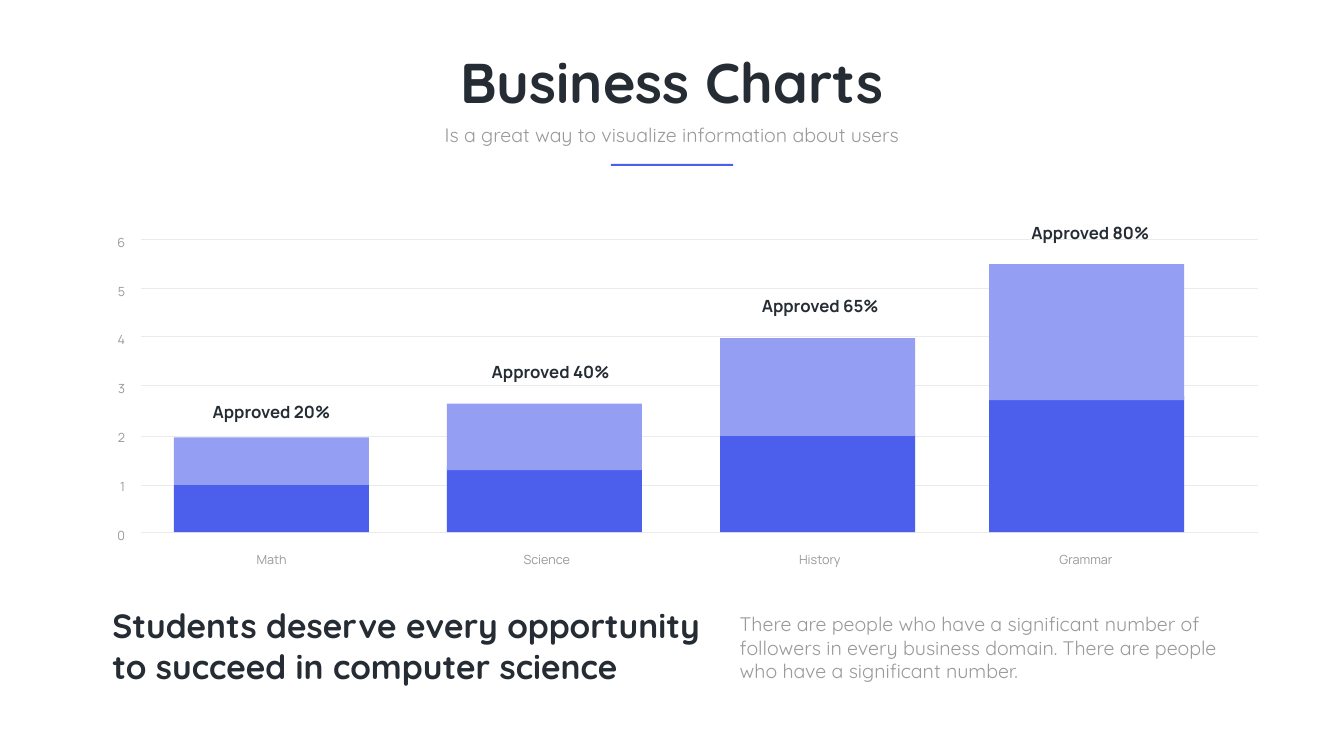
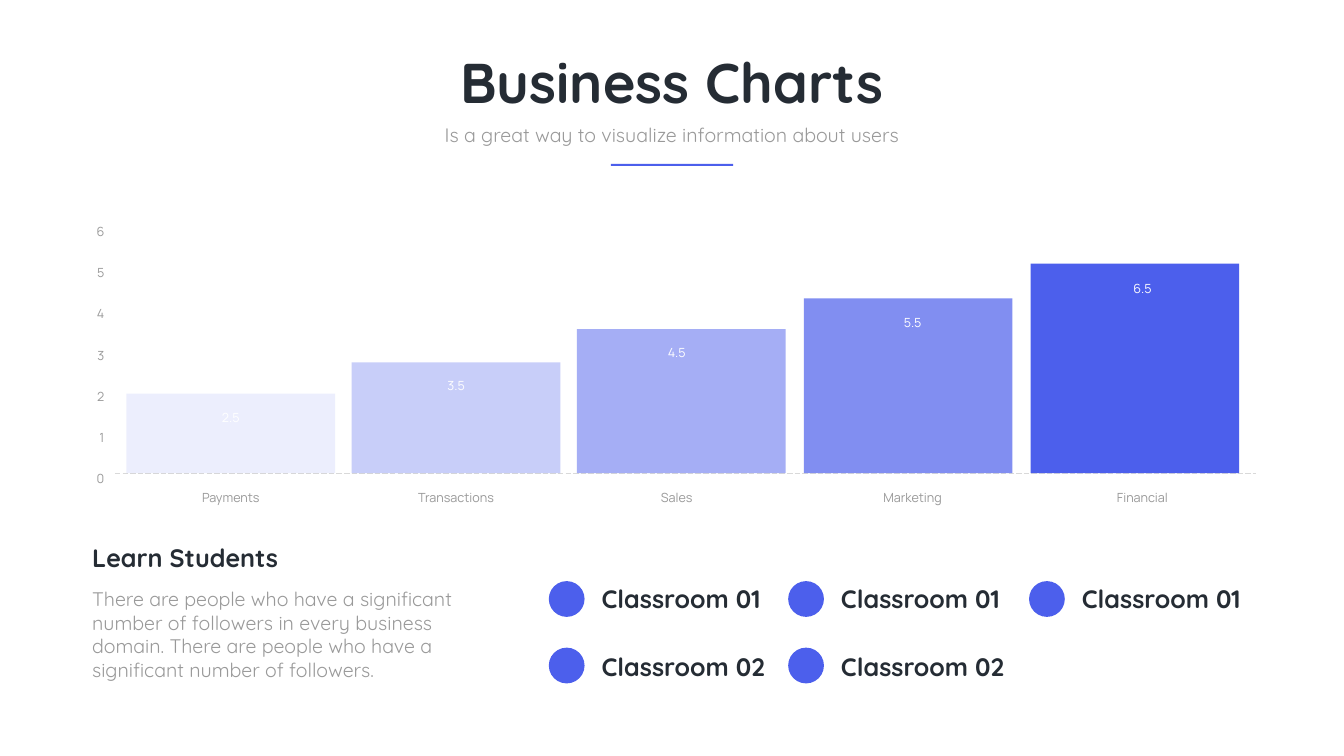
from dataclasses import dataclass

from lxml.etree import SubElement
from pptx import Presentation
from pptx.dml.color import RGBColor
from pptx.enum.dml import MSO_LINE
from pptx.enum.shapes import MSO_CONNECTOR, MSO_SHAPE
from pptx.enum.text import MSO_AUTO_SIZE, PP_ALIGN
from pptx.oxml.ns import qn
from pptx.slide import Slide
from pptx.util import Inches, Pt

BLUE = RGBColor(0x4C, 0x5F, 0xEC)
LIGHT_BLUE = RGBColor(0x94, 0x9F, 0xF4)
DARK = RGBColor(0x25, 0x2C, 0x34)
GREY = RGBColor(0x99, 0x99, 0x99)
GRID = RGBColor(0xEB, 0xEB, 0xEB)
BASELINE = RGBColor(0xD9, 0xD9, 0xD9)
WHITE = RGBColor(0xFF, 0xFF, 0xFF)

LEFT, CENTER, RIGHT = PP_ALIGN.LEFT, PP_ALIGN.CENTER, PP_ALIGN.RIGHT
RECT, OVAL = MSO_SHAPE.RECTANGLE, MSO_SHAPE.OVAL


@dataclass(frozen=True)
class TextStyle:
    font: str
    size: float
    color: RGBColor
    bold: bool = False
    align: PP_ALIGN = LEFT
    spacing: float | None = None


@dataclass(frozen=True)
class StackedBar:
    subject: str
    approved: str
    left: float
    lower_top: float
    upper_top: float
    upper_height: float
    subject_left: float
    approved_left: float
    approved_top: float


@dataclass(frozen=True)
class ShadedBar:
    category: str
    value: str
    left: float
    top: float
    opacity: int
    label_left: float
    value_top: float


TITLE = TextStyle("Quicksand", 80, DARK, True, CENTER)
SUBTITLE = TextStyle("Quicksand", 28, GREY, align=CENTER)
HEADLINE = TextStyle("Quicksand", 48, DARK, True)
HEADING = TextStyle("Quicksand", 36, DARK, True)
BODY = TextStyle("Quicksand", 28, GREY)
AXIS = TextStyle("Manrope", 18, GREY, align=RIGHT, spacing=35.6)
CATEGORY = TextStyle("Manrope", 18, GREY, align=CENTER, spacing=35.6)
VALUE = TextStyle("Manrope", 18, WHITE, align=CENTER, spacing=35.6)
APPROVED = TextStyle("Manrope", 24, DARK, True, CENTER, 35.6)

AXIS_MAX = 6
LABEL_WIDTH, LABEL_HEIGHT = 2.62, 0.56

# First chart
GRID_TOPS = (4.74, 5.72, 6.67, 7.65, 8.65, 9.62, 10.55)
STACK_WIDTH, STACK_BOTTOM = 3.87, 10.56
STACKED_BARS = (
    StackedBar("Math", "Approved 20%", 3.45, 9.62, 8.68, 0.94, 4.08, 3.45, 7.82),
    StackedBar("Science", "Approved 40%", 8.87, 9.26, 8.01, 1.32, 9.54, 8.99, 7.03),
    StackedBar("History", "Approved 65%", 14.29, 8.62, 6.71, 1.94, 14.96, 14.34, 5.73),
    StackedBar("Grammar", "Approved 80%", 19.63, 7.86, 5.24, 2.7, 20.24, 19.7, 4.28),
)

# Second chart
SHADED_WIDTH, SHADED_BOTTOM = 4.14, 9.39
SHADED_BARS = (
    ShadedBar("Payments", "2.5", 2.51, 7.81, 10, 3.27, 7.88),
    ShadedBar("Transactions", "3.5", 6.98, 7.19, 30, 7.74, 7.25),
    ShadedBar("Sales", "4.5", 11.45, 6.53, 50, 12.12, 6.6),
    ShadedBar("Marketing", "5.5", 15.95, 5.92, 70, 16.8, 6),
    ShadedBar("Financial", "6.5", 20.45, 5.23, 100, 21.36, 5.33),
)

# Legend: column left and number of classrooms in it
LEGEND_COLUMNS = ((10.89, 2), (15.64, 2), (20.42, 1))
DOT_SIZE = 0.71


def add_text(page: Slide, text: str, style: TextStyle,
             left: float, top: float, width: float, height: float) -> None:
    box = page.shapes.add_textbox(Inches(left), Inches(top), Inches(width), Inches(height))
    frame = box.text_frame
    frame.word_wrap = True
    frame.auto_size = MSO_AUTO_SIZE.SHAPE_TO_FIT_TEXT
    para = frame.paragraphs[0]
    para.alignment = style.align
    if style.spacing:
        para.line_spacing = Pt(style.spacing)
    span = para.add_run()
    span.text = text
    span.font.name = style.font
    span.font.size = Pt(style.size)
    span.font.bold = style.bold
    span.font.color.rgb = style.color


def add_filled(page: Slide, kind: MSO_SHAPE, color: RGBColor, left: float, top: float,
               width: float, height: float, opacity: int = 100) -> None:
    shape = page.shapes.add_shape(
        kind, Inches(left), Inches(top), Inches(width), Inches(height))
    shape.shadow.inherit = False
    shape.line.fill.background()
    shape.fill.solid()
    shape.fill.fore_color.rgb = color
    if opacity < 100:
        tint = next(shape.element.spPr.iter(qn("a:srgbClr")))
        SubElement(tint, qn("a:alpha")).set("val", str(opacity * 1000))


def add_rule(page: Slide, left: float, right: float, top: float,
             color: RGBColor, weight: float, dash: MSO_LINE | None = None) -> None:
    rule = page.shapes.add_connector(
        MSO_CONNECTOR.STRAIGHT, Inches(left), Inches(top), Inches(right), Inches(top))
    rule.line.color.rgb = color
    rule.line.width = Pt(weight)
    if dash is not None:
        rule.line.dash_style = dash
    SubElement(rule.element.spPr, qn("a:effectLst"))


def add_header(page: Slide) -> None:
    add_text(page, "Business Charts", TITLE, 6.88, 0.9, 12.91, 1.45)
    add_text(page, "Is a great way to visualize information about users",
             SUBTITLE, 8.55, 2.38, 9.56, 0.57)
    add_filled(page, RECT, BLUE, 12.12, 3.25, 2.43, 0.04)


def add_axis(page: Slide, left: float, top: float, step: float, height: float) -> None:
    for row in range(AXIS_MAX + 1):
        add_text(page, str(AXIS_MAX - row), AXIS, left, top + row * step, 1.12, height)


def build_subjects_page(page: Slide) -> None:
    # Grid and axis
    for top in GRID_TOPS:
        add_rule(page, 2.79, 24.96, top, GRID, 0.5)
    add_axis(page, 1.46, 4.41, 0.97, 0.56)
    add_header(page)

    # Stacked bars with their labels
    for bar in STACKED_BARS:
        add_filled(page, RECT, BLUE, bar.left, bar.lower_top,
                   STACK_WIDTH, STACK_BOTTOM - bar.lower_top)
        add_filled(page, RECT, LIGHT_BLUE, bar.left, bar.upper_top,
                   STACK_WIDTH, bar.upper_height)
        add_text(page, bar.subject, CATEGORY, bar.subject_left, 10.7,
                 LABEL_WIDTH, LABEL_HEIGHT)
        add_text(page, bar.approved, APPROVED, bar.approved_left, bar.approved_top,
                 STACK_WIDTH, 0.58)

    # Closing texts
    add_text(page, "Students deserve every opportunity to succeed in computer science",
             HEADLINE, 2.13, 11.96, 12.19, 1.72)
    add_text(page, "There are people who have a significant number of followers in every "
             "business domain. There are people who have a significant number.",
             BODY, 14.58, 12.1, 9.85, 1.51)


def build_classrooms_page(page: Slide) -> None:
    add_header(page)

    # Shaded bars on a dashed baseline
    add_rule(page, 2.28, 24.93, SHADED_BOTTOM, BASELINE, 1, MSO_LINE.LONG_DASH)
    add_axis(page, 1.05, 4.19, 0.82, 0.47)
    for bar in SHADED_BARS:
        add_filled(page, RECT, BLUE, bar.left, bar.top,
                   SHADED_WIDTH, SHADED_BOTTOM - bar.top, bar.opacity)
        add_text(page, bar.category, CATEGORY, bar.label_left, 9.47,
                 LABEL_WIDTH, LABEL_HEIGHT)
        add_text(page, bar.value, VALUE, bar.label_left, bar.value_top,
                 LABEL_WIDTH, LABEL_HEIGHT)

    # Closing text
    add_text(page, "Learn Students", HEADING, 1.73, 10.71, 9.95, 0.71)
    add_text(page, "There are people who have a significant number of followers in every "
             "business domain. There are people who have a significant number of followers.",
             BODY, 1.73, 11.6, 8.27, 1.99)

    # Classroom legend
    for left, count in LEGEND_COLUMNS:
        for row in range(count):
            add_filled(page, OVAL, BLUE, left, 11.53 + row * 1.32, DOT_SIZE, DOT_SIZE)
            add_text(page, f"Classroom {row + 1:02}", HEADING,
                     left + 0.95, 11.53 + row * 1.34, 4.24, DOT_SIZE)


def main() -> None:
    deck = Presentation()
    deck.slide_width, deck.slide_height = Inches(26.67), Inches(15)
    blank = deck.slide_layouts[6]
    for build_page in (build_subjects_page, build_classrooms_page):
        build_page(deck.slides.add_slide(blank))
    deck.save("out.pptx")


if __name__ == "__main__":
    main()
